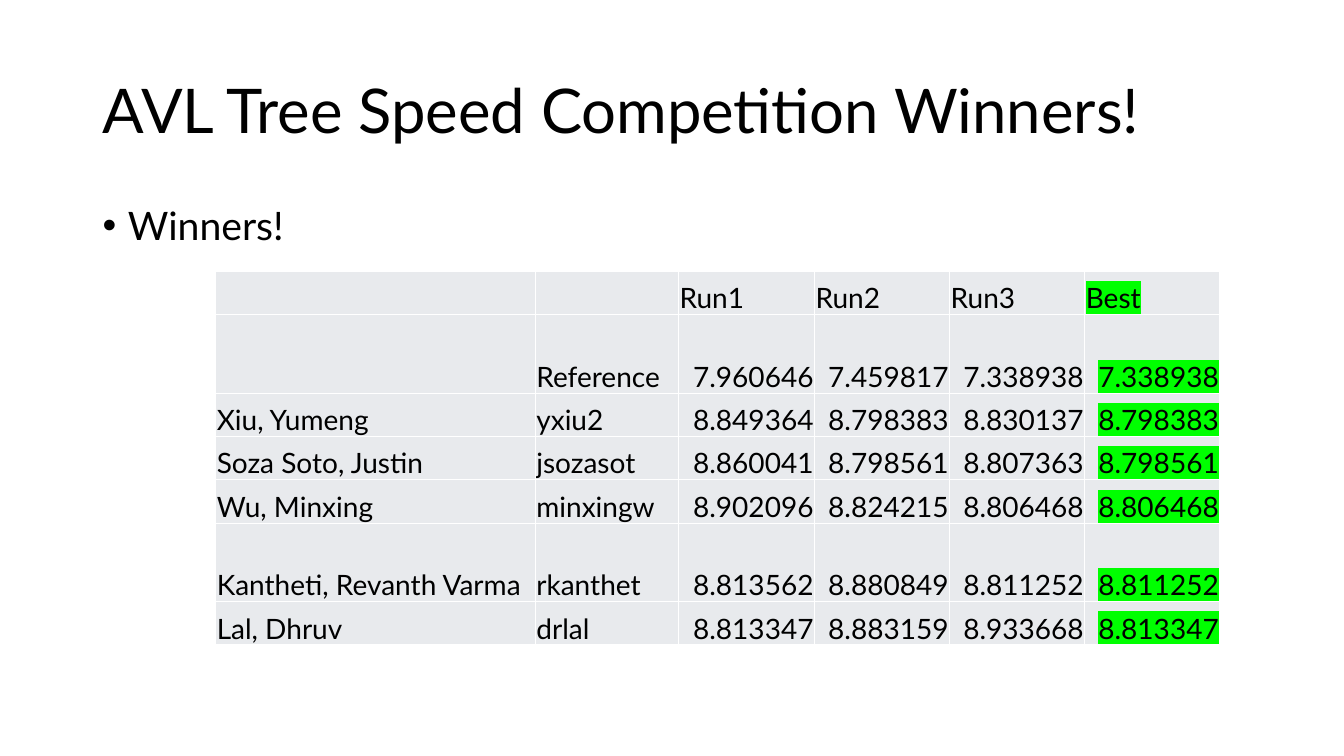
from lxml import etree
from pptx import Presentation
from pptx.dml.color import RGBColor
from pptx.enum.text import MSO_ANCHOR, PP_ALIGN
from pptx.oxml.ns import qn
from pptx.util import Inches, Pt

LEFT, RIGHT = PP_ALIGN.LEFT, PP_ALIGN.RIGHT
TOP, MIDDLE, BOTTOM = MSO_ANCHOR.TOP, MSO_ANCHOR.MIDDLE, MSO_ANCHOR.BOTTOM

FONT = "Lato"
INK, CELL_GREY, GRID_WHITE, BEST_GREEN = "000000", "E8EAED", "FFFFFF", "00FF00"

# Slide grid, in inches
WIDTH, HEIGHT = 13.33, 7.5
MARGIN, CONTENT_WIDTH = 0.92, 11.5
TABLE_LEFT, TABLE_TOP = 2.14, 2.69
COLUMNS = [3.17, 1.42, 1.35, 1.34, 1.34, 1.34]
SHORT_ROW, TALL_ROW = 0.43, 0.78
TALL_ROWS = {1, 5}

HEADER = ["", "", "Run1", "Run2", "Run3", "Best"]
ENTRANTS = [
    ("", "Reference", "7.960646", "7.459817", "7.338938"),
    ("Xiu, Yumeng", "yxiu2", "8.849364", "8.798383", "8.830137"),
    ("Soza Soto, Justin", "jsozasot", "8.860041", "8.798561", "8.807363"),
    ("Wu, Minxing", "minxingw", "8.902096", "8.824215", "8.806468"),
    ("Kantheti, Revanth Varma", "rkanthet", "8.813562", "8.880849", "8.811252"),
    ("Lal, Dhruv", "drlal", "8.813347", "8.883159", "8.933668"),
]


def color(hex_value):
    return RGBColor.from_string(hex_value)


def add_solid_color(parent, tag, hex_value):
    holder = etree.SubElement(parent, qn(tag))
    etree.SubElement(holder, qn("a:srgbClr")).set("val", hex_value)
    return holder


def write(paragraph, text, size, align=LEFT, highlight=None):
    paragraph.alignment = align
    run = paragraph.add_run()
    run.text = text
    run.font.name = FONT
    run.font.size = Pt(size)
    run.font.color.rgb = color(INK)
    if highlight:
        properties = run.font._element
        marker = add_solid_color(properties, "a:highlight", highlight)
        properties.find(qn("a:solidFill")).addnext(marker)


def set_title(slide, text):
    title = slide.shapes.title
    title.left, title.top = Inches(MARGIN), Inches(0.4)
    title.width, title.height = Inches(CONTENT_WIDTH), Inches(1.45)
    title.text_frame.vertical_anchor = MIDDLE
    heading = title.text_frame.paragraphs[0]
    heading.line_spacing = 0.9
    write(heading, text, 44)


def add_bullet(slide, text):
    box = slide.shapes.add_textbox(
        Inches(MARGIN), Inches(2), Inches(CONTENT_WIDTH), Inches(4.76))
    box.text_frame.word_wrap = True
    box.text_frame.vertical_anchor = TOP
    item = box.text_frame.paragraphs[0]
    item.line_spacing = 0.9
    item.space_before = Pt(10)
    write(item, text, 28)
    # Hanging indent with a round bullet
    properties = item._p.get_or_add_pPr()
    properties.set("marL", str(Inches(0.25)))
    properties.set("indent", str(Inches(-0.25)))
    etree.SubElement(properties, qn("a:buFont")).set("typeface", "Arial")
    etree.SubElement(properties, qn("a:buChar")).set("char", "•")


def format_cell(cell):
    cell.margin_left = cell.margin_right = cell.margin_top = Inches(0.01)
    cell.margin_bottom = 0
    cell.vertical_anchor = BOTTOM
    properties = cell._tc.get_or_add_tcPr()
    for side in ("a:lnL", "a:lnR", "a:lnT", "a:lnB"):
        border = etree.SubElement(properties, qn(side))
        border.set("w", str(Pt(1)))
        add_solid_color(border, "a:solidFill", GRID_WHITE)
    cell.fill.solid()
    cell.fill.fore_color.rgb = color(CELL_GREY)


def add_results(slide):
    # The best time is the shortest of the three runs
    results = [HEADER] + [[*entrant, min(entrant[2:], key=float)] for entrant in ENTRANTS]
    heights = [TALL_ROW if row in TALL_ROWS else SHORT_ROW for row in range(len(results))]
    table = slide.shapes.add_table(
        len(results), len(COLUMNS), Inches(TABLE_LEFT), Inches(TABLE_TOP),
        Inches(sum(COLUMNS)), Inches(sum(heights))).table
    table.first_row = table.horz_banding = False
    for column, width in zip(table.columns, COLUMNS):
        column.width = Inches(width)
    for row, height in zip(table.rows, heights):
        row.height = Inches(height)

    best_column = len(COLUMNS) - 1
    for r, values in enumerate(results):
        for c, value in enumerate(values):
            cell = table.cell(r, c)
            format_cell(cell)
            if value:
                write(cell.text_frame.paragraphs[0], value, 20,
                      RIGHT if r > 0 and c > 1 else LEFT,
                      BEST_GREEN if c == best_column else None)


def main():
    deck = Presentation()
    deck.slide_width, deck.slide_height = Inches(WIDTH), Inches(HEIGHT)
    slide = deck.slides.add_slide(deck.slide_layouts.get_by_name("Title Only"))
    set_title(slide, "AVL Tree Speed Competition Winners!")
    add_bullet(slide, "Winners!")
    add_results(slide)
    deck.save("out.pptx")


if __name__ == "__main__":
    main()
